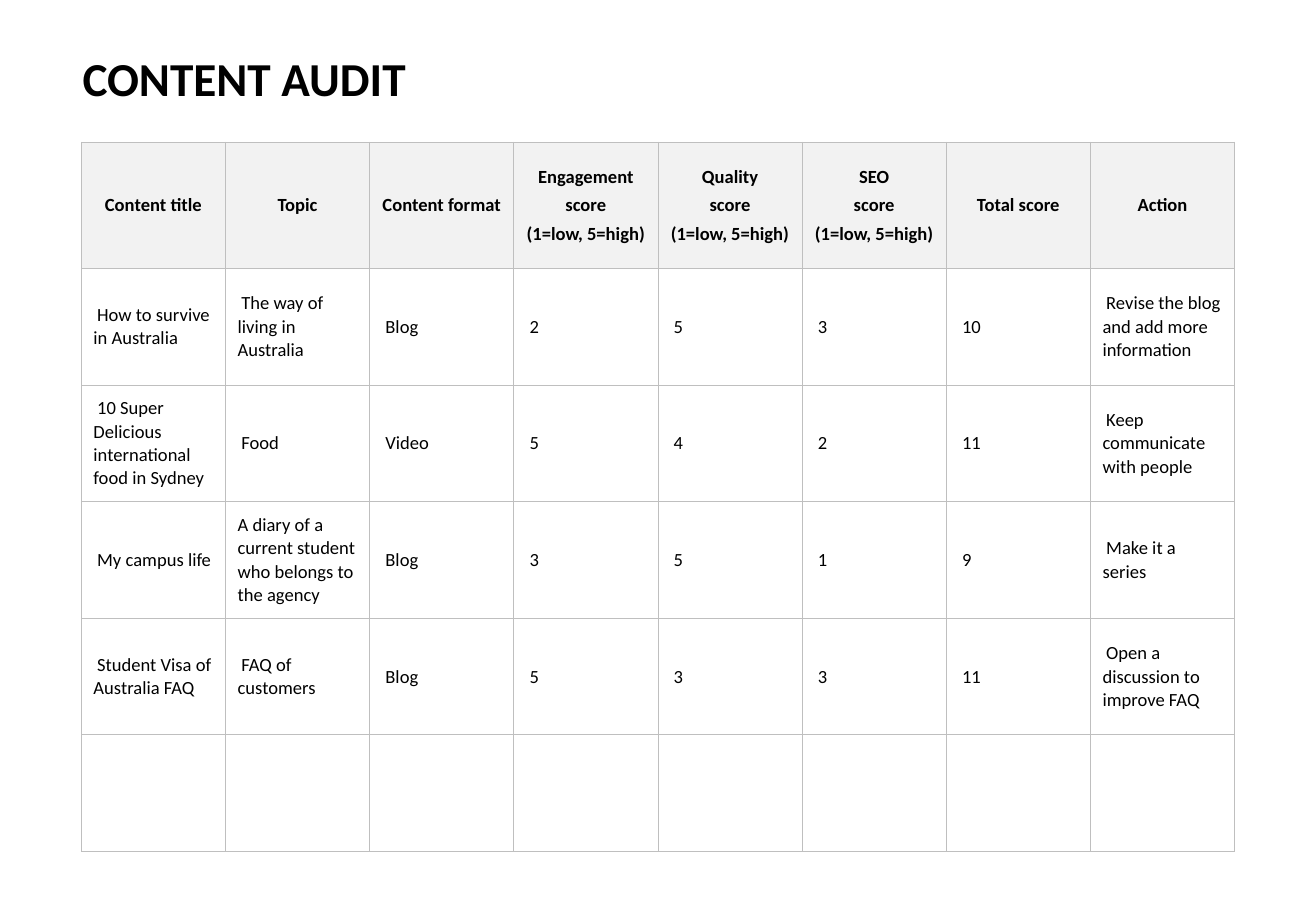
from lxml.etree import SubElement
from pptx import Presentation
from pptx.dml.color import RGBColor
from pptx.enum.text import MSO_ANCHOR, MSO_AUTO_SIZE, PP_ALIGN
from pptx.oxml import parse_xml
from pptx.oxml.ns import nsdecls, qn
from pptx.util import Inches, Pt

BLACK = RGBColor(0x00, 0x00, 0x00)
HEADER_GRAY = RGBColor(0xF2, 0xF2, 0xF2)
BORDER_GRAY = RGBColor(0xBF, 0xBF, 0xBF)

SCALE = "(1=low, 5=high)"
HEADERS = [
    ["Content title"],
    ["Topic"],
    ["Content format"],
    ["Engagement", "score", SCALE],
    ["Quality", "score", SCALE],
    ["SEO", "score", SCALE],
    ["Total score"],
    ["Action"],
]
AUDITS = [
    ["How to survive in Australia", "The way of living in Australia", "Blog",
     "2", "5", "3", "10", "Revise the blog and add more information"],
    ["10 Super Delicious international food in Sydney", "Food", "Video",
     "5", "4", "2", "11", "Keep communicate with people"],
    ["My campus life", "A diary of a current student who belongs to the agency", "Blog",
     "3", "5", "1", "9", "Make it a series"],
    ["Student Visa of Australia FAQ", "FAQ of customers", "Blog",
     "5", "3", "3", "11", "Open a discussion to improve FAQ"],
]
EMPTY_ROWS = 1
FLUSH_CELL = (3, 1)


class AuditSlide:
    font_name = "Calibri"
    title_size = Pt(28)
    table_size = Pt(11)
    border_width = Pt(0.45)
    first_line_indent = Inches(0.03)

    def __init__(self, presentation):
        self.slide = presentation.slides.add_slide(presentation.slide_layouts[5])

    def add_run(self, paragraph, text, size, bold):
        run = paragraph.add_run()
        run.text = text
        run.font.name = self.font_name
        run.font.size = size
        run.font.bold = bold
        run.font.color.rgb = BLACK

    def set_title(self, text, left, top, width, height):
        title = self.slide.shapes.title
        title.left, title.top = Inches(left), Inches(top)
        title.width, title.height = Inches(width), Inches(height)
        frame = title.text_frame
        frame.word_wrap = True
        frame.auto_size = MSO_AUTO_SIZE.NONE
        frame.vertical_anchor = MSO_ANCHOR.MIDDLE
        paragraph = frame.paragraphs[0]
        paragraph.alignment = PP_ALIGN.LEFT
        self.add_run(paragraph, text, self.title_size, True)

    def set_borders(self, cell):
        properties = cell._tc.get_or_add_tcPr()
        for position, side in enumerate(("lnL", "lnR", "lnT", "lnB")):
            line = parse_xml(f'<a:{side} {nsdecls("a")} w="{int(self.border_width)}"/>')
            fill = SubElement(line, qn("a:solidFill"))
            SubElement(fill, qn("a:srgbClr"), val=str(BORDER_GRAY))
            properties.insert(position, line)

    def fill_cell(self, cell, lines, header, indented):
        cell.vertical_anchor = MSO_ANCHOR.MIDDLE
        if header:
            cell.fill.solid()
            cell.fill.fore_color.rgb = HEADER_GRAY
        else:
            cell.fill.background()
        self.set_borders(cell)
        frame = cell.text_frame
        for index, text in enumerate(lines):
            paragraph = frame.add_paragraph() if index else frame.paragraphs[0]
            paragraph.alignment = PP_ALIGN.CENTER if header else PP_ALIGN.LEFT
            paragraph.line_spacing = 1.02
            paragraph.space_before = Pt(2.9 if index else 0)
            if indented:
                properties = paragraph._p.get_or_add_pPr()
                properties.set("marL", "0")
                properties.set("indent", str(int(self.first_line_indent)))
            self.add_run(paragraph, text, self.table_size, header)

    def add_audit_table(self, rows, left, top, width, header_height, row_height):
        column_count = len(rows[0])
        height = header_height + row_height * (len(rows) - 1)
        table = self.slide.shapes.add_table(
            len(rows), column_count,
            Inches(left), Inches(top), Inches(width), Inches(height)).table
        table.first_row = True
        table.horz_banding = False
        for column in table.columns:
            column.width = Inches(width / column_count)
        for row_index, row in enumerate(rows):
            header = row_index == 0
            table.rows[row_index].height = Inches(header_height if header else row_height)
            for column_index, lines in enumerate(row):
                indented = not header and (row_index, column_index) != FLUSH_CELL
                self.fill_cell(table.cell(row_index, column_index), lines, header, indented)


def main():
    presentation = Presentation()
    presentation.slide_width = Inches(10.84)
    presentation.slide_height = Inches(7.5)
    audit = AuditSlide(presentation)
    audit.set_title("CONTENT AUDIT", 0.58, 0.35, 7.86, 0.57)
    body = [[[text] for text in row] for row in AUDITS]
    empty = [[[] for _ in HEADERS] for _ in range(EMPTY_ROWS)]
    audit.add_audit_table([HEADERS] + body + empty, 0.67, 1.17, 9.5, 1.04, 0.96)
    presentation.save("out.pptx")


if __name__ == "__main__":
    main()
